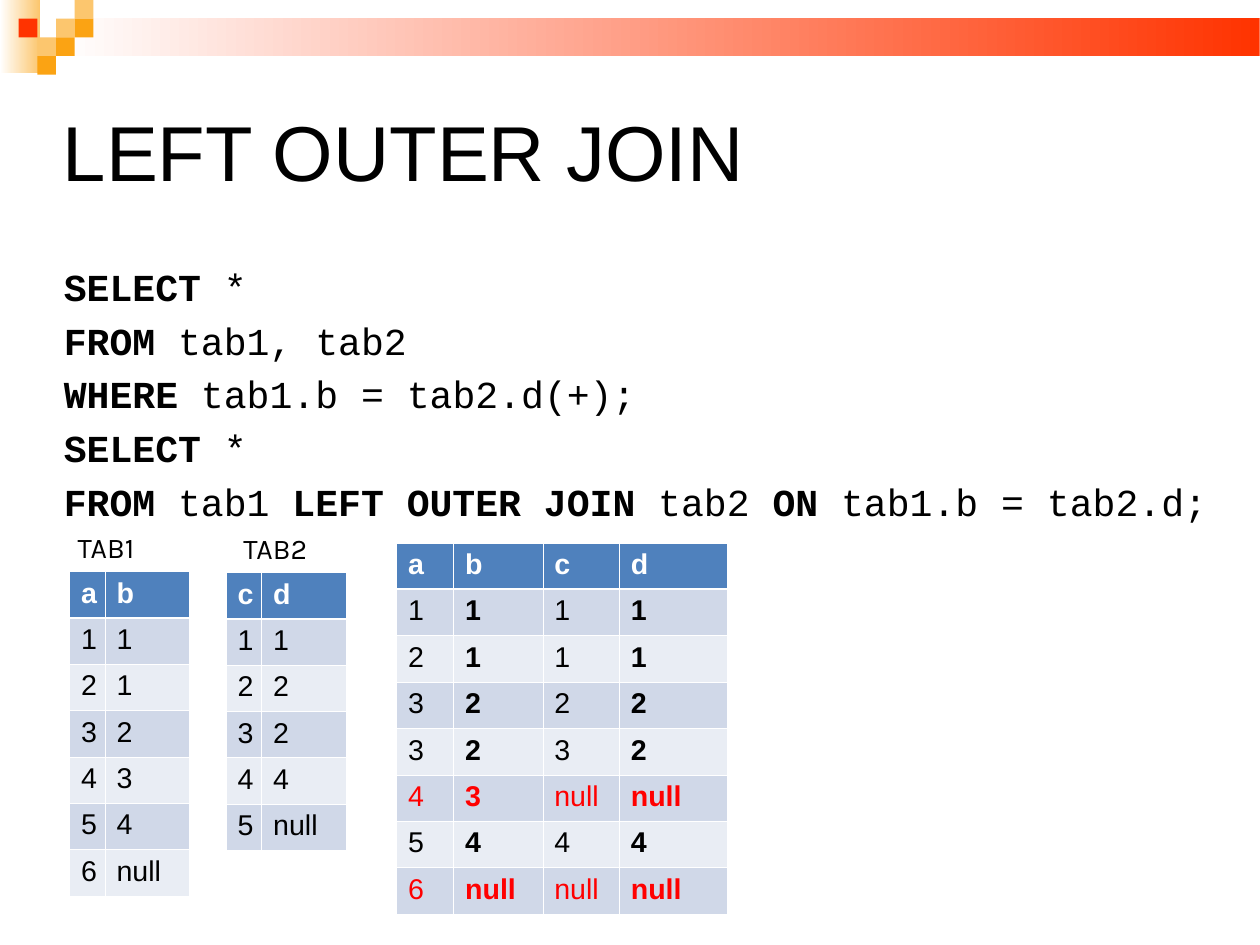
from dataclasses import dataclass

from lxml.etree import SubElement
from pptx import Presentation
from pptx.dml.color import RGBColor
from pptx.enum.shapes import MSO_SHAPE
from pptx.enum.text import MSO_ANCHOR, MSO_AUTO_SIZE
from pptx.oxml.ns import qn
from pptx.slide import Slide
from pptx.text.text import Font
from pptx.util import Inches, Pt


@dataclass(frozen=True)
class Theme:
    black: str = "000000"
    white: str = "FFFFFF"
    red: str = "FF3300"
    orange: str = "FBA313"
    peach: str = "FCC66E"
    header: str = "4F81BD"
    odd_band: str = "D0D8E8"
    even_band: str = "E9EDF4"
    unmatched: str = "FF0000"
    sans: str = "Arial"
    mono: str = "Courier New"
    label: str = "Karla"
    title_size: float = 49
    code_size: float = 24
    table_size: float = 18
    line_spacing: float = 0.87
    thin: float = 0.45
    thick: float = 1.47


@dataclass(frozen=True)
class Box:
    left: float
    top: float
    width: float
    height: float

    def lengths(self) -> tuple:
        return tuple(Inches(v) for v in (self.left, self.top, self.width, self.height))


@dataclass(frozen=True)
class Relation:
    box: Box
    columns: tuple[float, ...]
    rows: tuple[str, ...]
    bold_columns: tuple[int, ...] = ()


@dataclass(frozen=True)
class Label:
    text: str
    box: Box


THEME = Theme()
CM_PER_INCH = 2.54
PIXEL = 0.49 / 3

# Header decoration: gradient bars, then pixels as (column, row, colour)
BARS = (
    (Box(0, 0, 0.35, 0.64), THEME.peach),
    (Box(0.5, 0.16, 10.52, 0.33), THEME.red),
)
PIXELS = (
    (3, 1, THEME.peach), (4, 0, THEME.peach), (4, 1, THEME.orange),
    (2, 2, THEME.peach), (1, 1, THEME.red), (3, 2, THEME.orange),
    (2, 3, THEME.orange),
)

# Query lines: bold and plain pieces alternate
QUERY = (
    ("SELECT ", "*"),
    ("FROM ", "tab1, tab2"),
    ("WHERE", " tab1.b = tab2.d(+);"),
    ("SELECT ", "*"),
    ("FROM ", "tab1 ", "LEFT OUTER JOIN", " tab2 ", "ON ", "tab1.b = tab2.d;"),
)

RELATIONS = (
    Relation(Box(0.61, 5, 1.05, 2.84), (0.31, 0.74),
             ("a b", "1 1", "2 1", "3 2", "4 3", "5 4", "6 null")),
    Relation(Box(1.98, 5.01, 1.05, 2.43), (0.31, 0.74),
             ("c d", "1 1", "2 2", "3 2", "4 4", "5 null")),
    Relation(Box(3.47, 4.75, 2.89, 3.25), (0.5, 0.78, 0.67, 0.94),
             ("a b c d", "1 1 1 1", "2 1 1 1", "3 2 2 2", "3 2 3 2",
              "4 3 null null", "5 4 4 4", "6 null null null"),
             bold_columns=(1, 3)),
)
LABELS = (
    Label("TAB1", Box(0.58, 4.59, 0.85, 0.4)),
    Label("TAB2", Box(2.03, 4.6, 0.85, 0.4)),
)


def style(font: Font, name: str, size: float, color: str, bold: bool = False) -> None:
    font.name, font.size, font.bold = name, Pt(size), bold
    font.color.rgb = RGBColor.from_string(color)


def draw_block(slide: Slide, box: Box, color: str, fading: bool = False) -> None:
    block = slide.shapes.add_shape(MSO_SHAPE.RECTANGLE, *box.lengths())
    block.shadow.inherit = False
    block.line.fill.background()
    if fading:
        block.fill.gradient()
        block.fill.gradient_angle = 180
        for stop, stop_color in zip(block.fill.gradient_stops, (color, THEME.white)):
            stop.color.rgb = RGBColor.from_string(stop_color)
    else:
        block.fill.solid()
        block.fill.fore_color.rgb = RGBColor.from_string(color)


def draw_title(slide: Slide, text: str, box: Box) -> None:
    frame = slide.shapes.add_textbox(*box.lengths()).text_frame
    frame.word_wrap = True
    frame.vertical_anchor = MSO_ANCHOR.MIDDLE
    frame.margin_left = frame.margin_top = frame.margin_right = frame.margin_bottom = 0
    frame.text = text
    heading = frame.paragraphs[0]
    heading.line_spacing = THEME.line_spacing
    style(heading.runs[0].font, THEME.sans, THEME.title_size, THEME.black)


def draw_query(slide: Slide, box: Box) -> None:
    frame = slide.shapes.add_textbox(*box.lengths()).text_frame
    frame.word_wrap = True
    for number, pieces in enumerate(QUERY):
        line = frame.add_paragraph() if number else frame.paragraphs[0]
        line.line_spacing = THEME.line_spacing
        if number:
            line.space_before = Pt(8.8)
        # Hanging indent
        properties = line._p.get_or_add_pPr()
        properties.set("marL", str(Inches(0.37)))
        properties.set("indent", str(-Inches(0.37)))
        for position, piece in enumerate(pieces):
            run = line.add_run()
            run.text = piece
            style(run.font, THEME.mono, THEME.code_size, THEME.black, position % 2 == 0)


def draw_label(slide: Slide, label: Label) -> None:
    frame = slide.shapes.add_textbox(*label.box.lengths()).text_frame
    frame.word_wrap = False
    frame.auto_size = MSO_AUTO_SIZE.SHAPE_TO_FIT_TEXT
    frame.text = label.text
    style(frame.paragraphs[0].runs[0].font, THEME.label, THEME.table_size, THEME.black)


def add_borders(cell, row: int) -> None:
    # The rule under the header row is thicker
    widths = {"lnL": THEME.thin, "lnR": THEME.thin,
              "lnT": THEME.thick if row == 1 else THEME.thin,
              "lnB": THEME.thick if row == 0 else THEME.thin}
    properties = cell._tc.get_or_add_tcPr()
    for side, width in widths.items():
        border = SubElement(properties, qn(f"a:{side}"), w=str(Pt(width)))
        SubElement(SubElement(border, qn("a:solidFill")), qn("a:srgbClr"), val=THEME.white)


def draw_relation(slide: Slide, relation: Relation) -> None:
    table = slide.shapes.add_table(
        len(relation.rows), len(relation.columns), *relation.box.lengths()).table
    for column, width in zip(table.columns, relation.columns):
        column.width = Inches(width)
    for r, row in enumerate(relation.rows):
        values = row.split()
        fill = THEME.header if r == 0 else (THEME.even_band, THEME.odd_band)[r % 2]
        # Joined rows without a partner stand out
        unmatched = len(values) == 4 and values[2] == "null"
        color = THEME.white if r == 0 else THEME.unmatched if unmatched else THEME.black
        for c, value in enumerate(values):
            cell = table.cell(r, c)
            cell.text_frame.text = value
            style(cell.text_frame.paragraphs[0].runs[0].font, THEME.sans,
                  THEME.table_size, color, r == 0 or c in relation.bold_columns)
            add_borders(cell, r)
            cell.fill.solid()
            cell.fill.fore_color.rgb = RGBColor.from_string(fill)


def main() -> None:
    deck = Presentation()
    # A page of 28 by 21 cm, free of the preset screen format
    deck.slide_width, deck.slide_height = Inches(28 / CM_PER_INCH), Inches(21 / CM_PER_INCH)
    deck.element.find(qn("p:sldSz")).attrib.pop("type", None)
    slide = deck.slides.add_slide(deck.slide_layouts[6])
    for box, color in BARS:
        draw_block(slide, box, color, fading=True)
    for column, row, color in PIXELS:
        draw_block(slide, Box(column * PIXEL, row * PIXEL, PIXEL, PIXEL), color)
    draw_title(slide, "LEFT OUTER JOIN", Box(0.55, 0.55, 9.92, 1.65))
    draw_query(slide, Box(0.46, 2.31, 10.25, 5.11))
    for relation in RELATIONS:
        draw_relation(slide, relation)
    for label in LABELS:
        draw_label(slide, label)
    deck.save("out.pptx")


if __name__ == "__main__":
    main()
